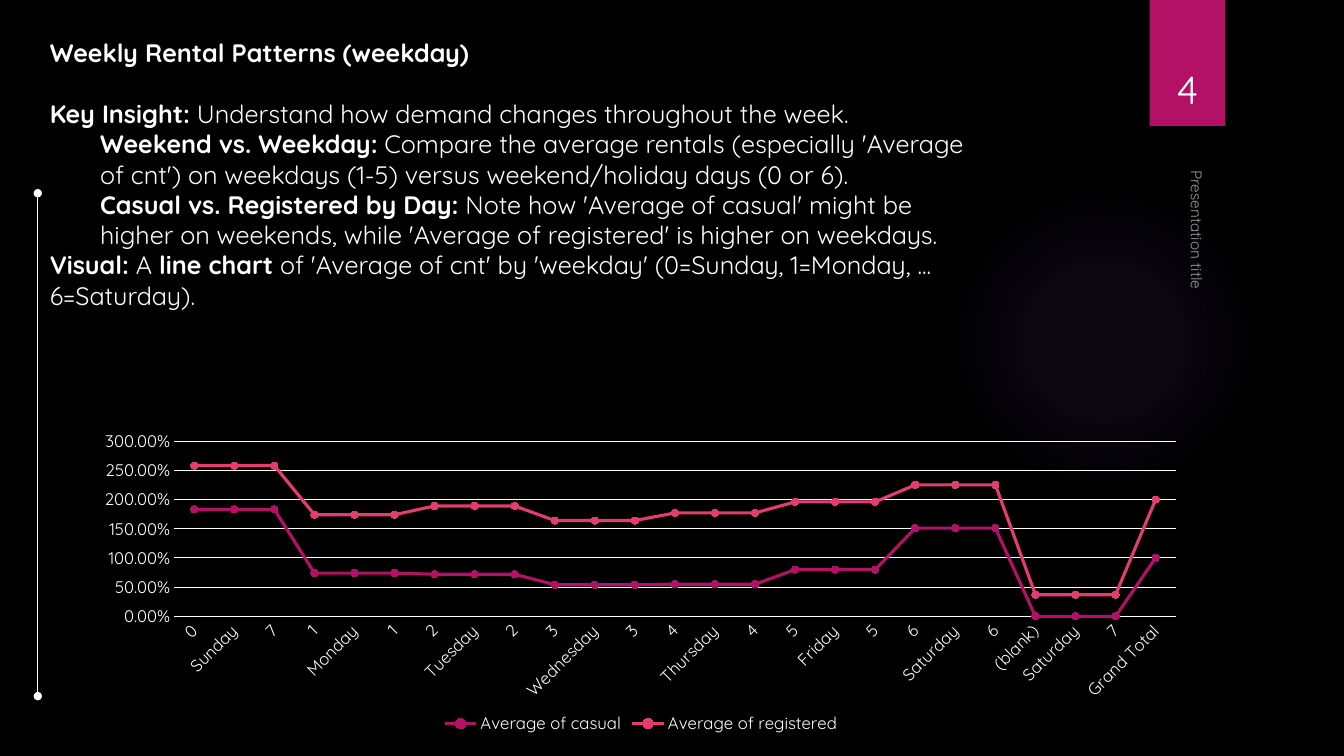
from dataclasses import dataclass

from lxml.etree import SubElement
from pptx import Presentation
from pptx.chart.data import CategoryChartData
from pptx.dml.color import RGBColor
from pptx.enum.chart import XL_CHART_TYPE as CT, XL_LEGEND_POSITION as LP
from pptx.enum.chart import XL_MARKER_STYLE as MS, XL_TICK_MARK as TM
from pptx.enum.shapes import MSO_CONNECTOR as MC, MSO_SHAPE as MS_SHAPE
from pptx.enum.text import MSO_ANCHOR as MA, MSO_AUTO_SIZE as AS, PP_ALIGN as PA
from pptx.oxml import parse_xml
from pptx.oxml.ns import nsdecls, qn
from pptx.util import Emu, Pt

COLORS = {"bg": "000000", "text": "FFFFFF", "glow": "9B6BF2",
          "casual": "B31166", "registered": "E33D6F"}
FONT = "Quicksand"


@dataclass
class Box:
    left: int
    top: int
    width: int
    height: int

    def emu(self) -> tuple:
        return px(self.left), px(self.top), px(self.width), px(self.height)


@dataclass
class Run:
    text: str
    bold: bool = False


@dataclass
class Para:
    runs: list[Run]
    indent: int = 0


@dataclass
class DayGroup:
    labels: tuple[str, ...]
    casual: float
    registered: float


BODY = [
    Para([Run("Key Insight:", True),
          Run(" Understand how demand changes throughout the week.")]),
    Para([Run("Weekend vs. Weekday:", True),
          Run(" Compare the average rentals (especially 'Average of cnt') on weekdays (1-5) "
              "versus weekend/holiday days (0 or 6).")], 48),
    Para([Run("Casual vs. Registered by Day:", True),
          Run(" Note how 'Average of casual' might be higher on weekends, while "
              "'Average of registered' is higher on weekdays.")], 48),
    Para([Run("Visual:", True), Run(" A "), Run("line chart", True),
          Run(" of 'Average of cnt' by 'weekday' (0=Sunday, 1=Monday, ... 6=Saturday).")]),
]

DAYS = [
    DayGroup(("0", "Sunday", "7"), 1.83, 0.75),
    DayGroup(("1", "Monday", "1"), 0.74, 1),
    DayGroup(("2", "Tuesday", "2"), 0.72, 1.17),
    DayGroup(("3", "Wednesday", "3"), 0.54, 1.1),
    DayGroup(("4", "Thursday", "4"), 0.55, 1.22),
    DayGroup(("5", "Friday", "5"), 0.8, 1.16),
    DayGroup(("6", "Saturday", "6"), 1.51, 0.74),
    DayGroup(("(blank)", "Saturday", "7"), 0, 0.37),
    DayGroup(("Grand Total",), 1, 1),
]


def px(n: int) -> Emu:
    return Emu(n * 9525)


def rgb(name: str) -> RGBColor:
    return RGBColor.from_string(COLORS[name])


def style_font(font, size: int, bold: bool = False) -> None:
    font.name, font.size, font.bold = FONT, Pt(size), bold
    font.color.rgb = rgb("text")


def fill_text(sp, paras: list[Para], size: int, align=PA.LEFT, anchor=MA.TOP) -> None:
    tf = sp.text_frame
    tf.word_wrap, tf.auto_size, tf.vertical_anchor = True, AS.NONE, anchor
    for i, para in enumerate(paras):
        p = tf.add_paragraph() if i else tf.paragraphs[0]
        p.alignment = align
        p.space_before = p.space_after = Pt(0)
        if para.indent:
            p.level = 1
            p._p.get_or_add_pPr().set("marL", str(px(para.indent)))
        for run in para.runs:
            r = p.add_run()
            r.text = run.text
            style_font(r.font, size, run.bold)


def add_text(s, box: Box, paras: list[Para], size: int, align=PA.LEFT, anchor=MA.TOP):
    sp = s.shapes.add_textbox(*box.emu())
    fill_text(sp, paras, size, align, anchor)
    return sp


def add_plain_shape(s, kind, box: Box, color: str):
    sp = s.shapes.add_shape(kind, *box.emu())
    sp.shadow.inherit = False
    sp.fill.solid()
    sp.fill.fore_color.rgb = rgb(color)
    sp.line.fill.background()
    return sp


def add_glow(s, box: Box) -> None:
    sp = add_plain_shape(s, MS_SHAPE.OVAL, box, "glow")
    stops = "".join(
        f'<a:gs pos="{pos * 1000}"><a:srgbClr val="{COLORS["glow"]}">'
        f'<a:alpha val="{alpha * 1000}"/></a:srgbClr></a:gs>'
        for pos, alpha in ((0, 7), (36, 6), (69, 0)))
    grad = parse_xml(
        f'<a:gradFill {nsdecls("a")}><a:gsLst>{stops}</a:gsLst><a:path path="circle">'
        '<a:fillToRect l="50000" t="50000" r="50000" b="50000"/></a:path></a:gradFill>')
    solid = sp._element.spPr.find(qn("a:solidFill"))
    solid.getparent().replace(solid, grad)


def add_side_line(s, x: int, top: int, bottom: int) -> None:
    line = s.shapes.add_connector(MC.STRAIGHT, px(x), px(top), px(x), px(bottom))
    line.line.color.rgb, line.line.width = rgb("text"), Pt(1)
    for end in ("a:headEnd", "a:tailEnd"):
        SubElement(line.line._get_or_add_ln(), qn(end), type="oval")
    SubElement(line._element.spPr, qn("a:effectLst"))


def add_rental_chart(s, box: Box) -> None:
    data = CategoryChartData(number_format="0.00%")
    data.categories = [label for day in DAYS for label in day.labels]
    for key in ("casual", "registered"):
        data.add_series(f"Average of {key}",
                        [getattr(day, key) for day in DAYS for _ in day.labels])
    chart = s.shapes.add_chart(CT.LINE_MARKERS_STACKED, *box.emu(), data).chart
    style_font(chart.font, 12)
    chart.has_title = False
    chart.has_legend = True
    chart.legend.position, chart.legend.include_in_layout = LP.BOTTOM, False
    style_font(chart.legend.font, 12)

    cat, val = chart.category_axis, chart.value_axis
    for axis in (cat, val):
        axis.major_tick_mark = axis.minor_tick_mark = TM.NONE
        style_font(axis.tick_labels.font, 12)
    cat.format.line.color.rgb, cat.format.line.width = rgb("text"), Pt(0.75)
    cat._element.find(qn("c:txPr")).find(qn("a:bodyPr")).set("rot", "-2700000")
    val.minimum_scale, val.maximum_scale, val.major_unit = 0, 3, 0.5
    val.tick_labels.number_format = "0.00%"
    val.tick_labels.number_format_is_linked = False
    val.format.line.fill.background()
    grid = val.major_gridlines.format.line
    grid.color.rgb, grid.width = rgb("text"), Pt(0.75)

    plot = chart.plots[0]
    plot.vary_by_categories = False
    for series, color in zip(plot.series, ("casual", "registered")):
        series.smooth = False
        series.format.line.color.rgb, series.format.line.width = rgb(color), Pt(2.25)
        series.marker.style, series.marker.size = MS.CIRCLE, 5
        series.marker.format.fill.solid()
        series.marker.format.fill.fore_color.rgb = rgb(color)
        series.marker.format.line.color.rgb = rgb(color)

    area = chart._chartSpace.chart.plotArea
    for old in area.findall(qn("c:layout")):
        area.remove(old)
    layout = (("layoutTarget", "inner"), ("xMode", "edge"), ("yMode", "edge"),
              ("x", 0.088), ("y", 0.212), ("w", 0.884), ("h", 0.465))
    parts = "".join(f'<c:{tag} val="{value}"/>' for tag, value in layout)
    area.insert(0, parse_xml(f'<c:layout {nsdecls("c")}><c:manualLayout>{parts}'
                             '</c:manualLayout></c:layout>'))


def main() -> None:
    prs = Presentation()
    prs.slide_width, prs.slide_height = px(1280), px(720)
    s = prs.slides.add_slide(prs.slide_layouts[5])
    s.background.fill.solid()
    s.background.fill.fore_color.rgb = rgb("bg")

    add_glow(s, Box(903, 176, 296, 296))
    add_plain_shape(s, MS_SHAPE.RECTANGLE, Box(1095, 0, 72, 120), "casual")
    add_side_line(s, 36, 184, 663)

    footer = add_text(s, Box(940, 339, 405, 32), [Para([Run("Presentation title")])],
                      11, anchor=MA.BOTTOM)
    footer.rotation = 90
    color = footer.text_frame.paragraphs[0].runs[0]._r.rPr.find(qn("a:solidFill"))[0]
    SubElement(color, qn("a:alpha"), val="60000")
    add_text(s, Box(1087, 31, 88, 81), [Para([Run("4")])], 28, PA.CENTER, MA.BOTTOM)

    title = s.shapes.title
    title.left, title.top, title.width, title.height = Box(38, 31, 903, 40).emu()
    fill_text(title, [Para([Run("Weekly Rental Patterns (weekday)", True)])], 18)
    add_text(s, Box(38, 89, 903, 270), BODY, 18)
    add_rental_chart(s, Box(71, 344, 1079, 359))
    prs.save("out.pptx")


if __name__ == "__main__":
    main()
